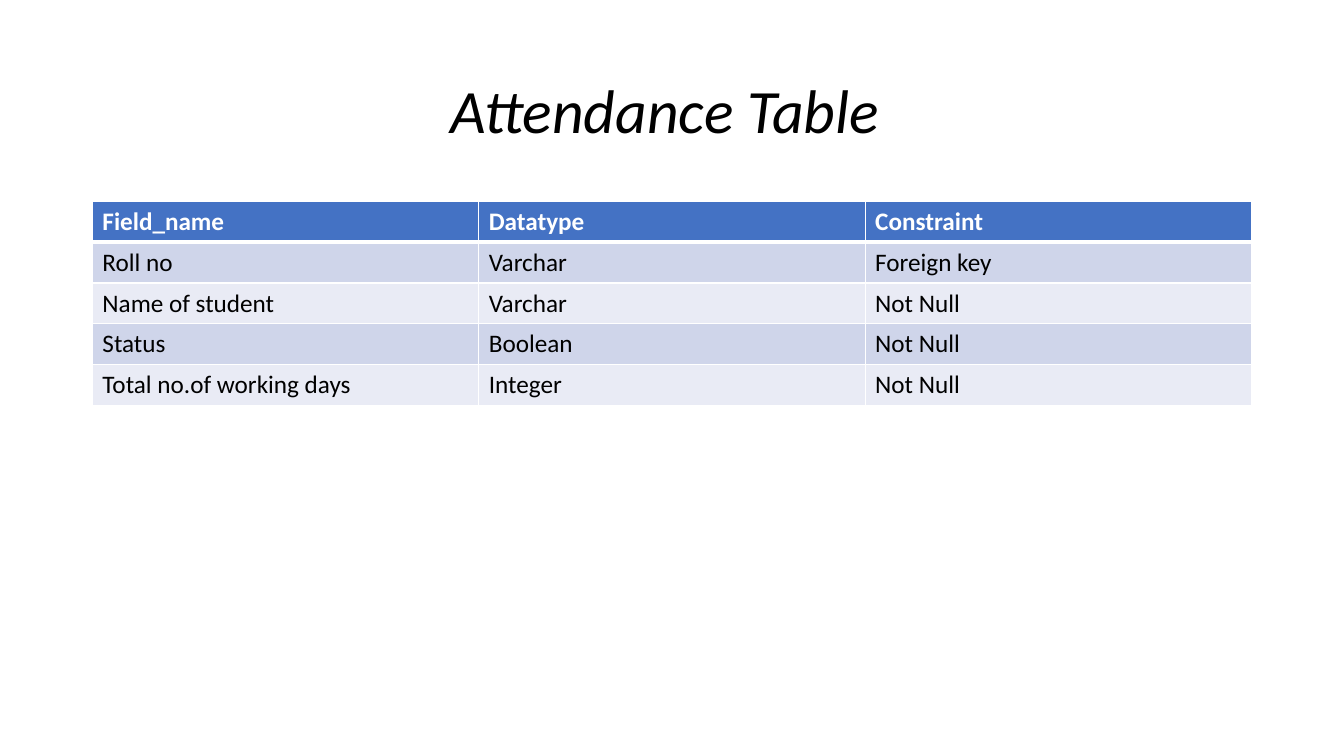
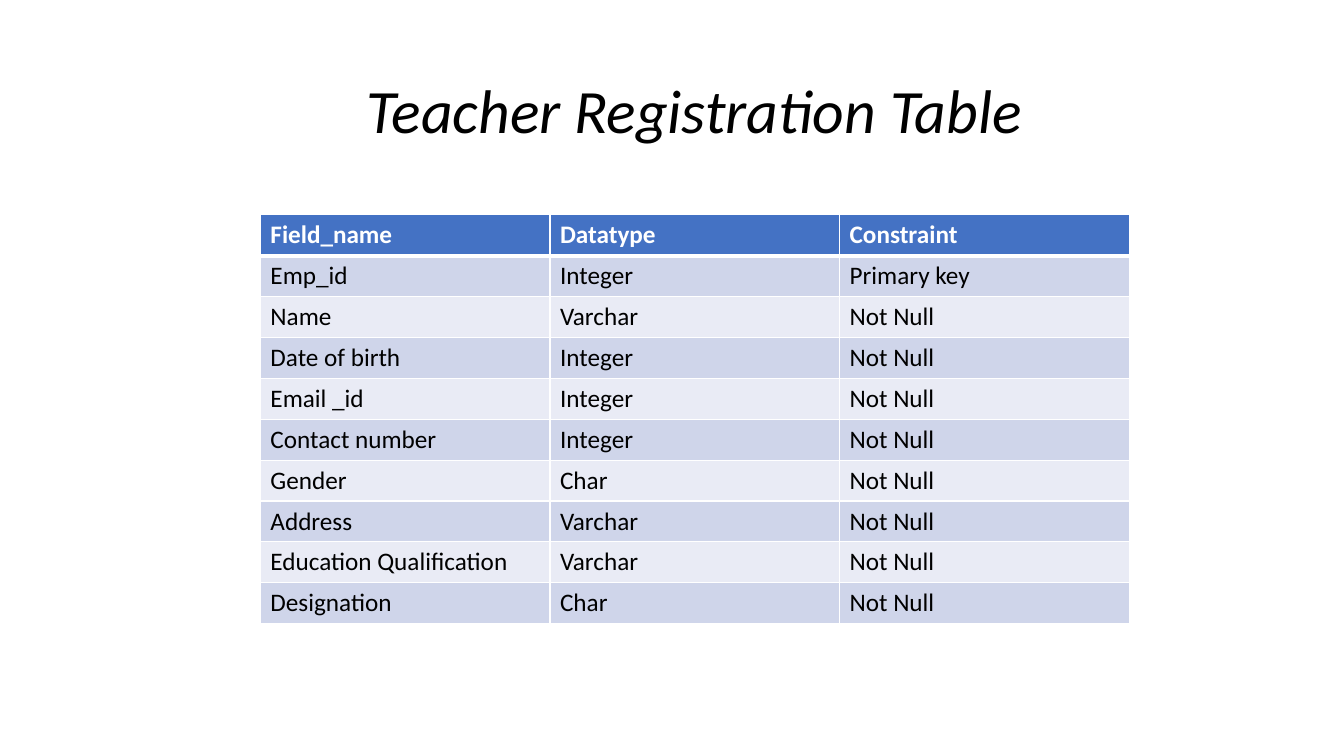
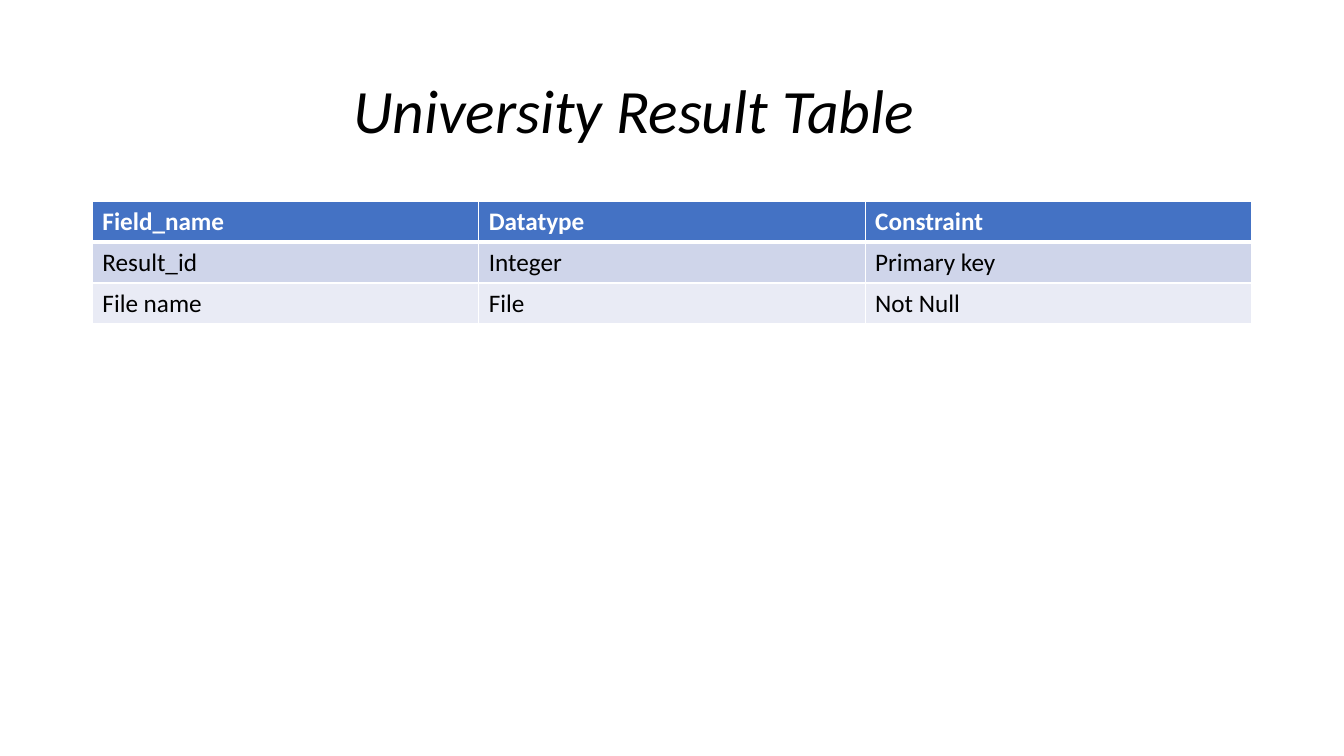
"""Build three slides that describe the tables of a school database."""
from dataclasses import dataclass

from lxml.etree import SubElement
from pptx import Presentation
from pptx.dml.color import RGBColor
from pptx.enum.text import MSO_ANCHOR, MSO_AUTO_SIZE, PP_ALIGN
from pptx.oxml.ns import qn
from pptx.presentation import Presentation as Deck
from pptx.slide import Slide
from pptx.table import _Cell
from pptx.text.text import _Paragraph
from pptx.util import Pt


@dataclass(frozen=True)
class Theme:
    font: str = "Calibri"
    title_size: float = 44
    body_size: float = 18
    ink: str = "000000"
    white: str = "FFFFFF"
    header: str = "4472C4"
    bands: tuple[str, str] = ("CFD5EA", "E9EBF5")
    rule: float = 1
    header_rule: float = 3
    row_height: float = 29.2


@dataclass(frozen=True)
class Schema:
    title: str
    title_indent: float
    rows: tuple[tuple[str, str, str], ...]
    left: float = 66
    top: float = 143.75
    width: float = 828


THEME = Theme()
HEADINGS = ("Field_name", "Datatype", "Constraint")
SCHEMAS = (
    Schema("Attendance Table", 255.8, (
        ("Roll no", "Varchar", "Foreign key"),
        ("Name of student", "Varchar", "Not Null"),
        ("Status", "Boolean", "Not Null"),
        ("Total no.of working days", "Integer", "Not Null"),
    )),
    Schema("Teacher Registration Table", 196.1, (
        ("Emp_id", "Integer", "Primary key"),
        ("Name", "Varchar", "Not Null"),
        ("Date of birth", "Integer", "Not Null"),
        ("Email _id", "Integer", "Not Null"),
        ("Contact number", "Integer", "Not Null"),
        ("Gender", "Char", "Not Null"),
        ("Address", "Varchar", "Not Null"),
        ("Education Qualification", "Varchar", "Not Null"),
        ("Designation", "Char", "Not Null"),
    ), left=186, top=153.5, width=620.6),
    Schema("University Result Table", 186.2, (
        ("Result_id", "Integer", "Primary key"),
        ("File name", "File", "Not Null"),
    )),
)


def add_run(p: _Paragraph, text: str, size: float, color: str,
            bold: bool = False, italic: bool = False) -> None:
    r = p.add_run()
    r.text = text
    r.font.name = THEME.font
    r.font.size = Pt(size)
    r.font.bold = bold
    r.font.italic = italic
    r.font.color.rgb = RGBColor.from_string(color)


def add_title(s: Slide, text: str, indent: float) -> None:
    sp = s.shapes.title
    sp.left, sp.top, sp.width, sp.height = Pt(66), Pt(28.75), Pt(828), Pt(104.4)
    tf = sp.text_frame
    tf.word_wrap = True
    tf.auto_size = MSO_AUTO_SIZE.NONE
    tf.vertical_anchor = MSO_ANCHOR.MIDDLE
    tf.margin_left = Pt(indent)
    p = tf.paragraphs[0]
    p.alignment = PP_ALIGN.LEFT
    p.line_spacing = 0.9
    add_run(p, text, THEME.title_size, THEME.ink, italic=True)


def set_borders(cell: _Cell, row: int) -> None:
    widths = {"lnL": THEME.rule, "lnR": THEME.rule,
              "lnT": THEME.header_rule if row == 1 else THEME.rule,
              "lnB": THEME.header_rule if row == 0 else THEME.rule}
    props = cell._tc.get_or_add_tcPr()
    for side, width in widths.items():
        line = SubElement(props, qn(f"a:{side}"), w=str(Pt(width)))
        fill = SubElement(line, qn("a:solidFill"))
        SubElement(fill, qn("a:srgbClr"), val=THEME.white)


def format_cell(cell: _Cell, text: str, row: int) -> None:
    is_header = row == 0
    set_borders(cell, row)
    cell.fill.solid()
    color = THEME.header if is_header else THEME.bands[(row - 1) % 2]
    cell.fill.fore_color.rgb = RGBColor.from_string(color)
    add_run(cell.text_frame.paragraphs[0], text, THEME.body_size,
            THEME.white if is_header else THEME.ink, bold=is_header)


def add_schema_table(s: Slide, schema: Schema) -> None:
    rows = (HEADINGS, *schema.rows)
    table = s.shapes.add_table(
        len(rows), len(HEADINGS), Pt(schema.left), Pt(schema.top),
        Pt(schema.width), Pt(THEME.row_height * len(rows))).table
    for i, texts in enumerate(rows):
        table.rows[i].height = Pt(THEME.row_height)
        for j, text in enumerate(texts):
            format_cell(table.cell(i, j), text, i)


def add_schema_slide(prs: Deck, schema: Schema) -> None:
    s = prs.slides.add_slide(prs.slide_layouts.get_by_name("Title Only"))
    add_title(s, schema.title, schema.title_indent)
    add_schema_table(s, schema)


def main() -> None:
    prs = Presentation()
    prs.slide_width, prs.slide_height = Pt(960), Pt(540)
    for schema in SCHEMAS:
        add_schema_slide(prs, schema)
    prs.save("out.pptx")


if __name__ == "__main__":
    main()
